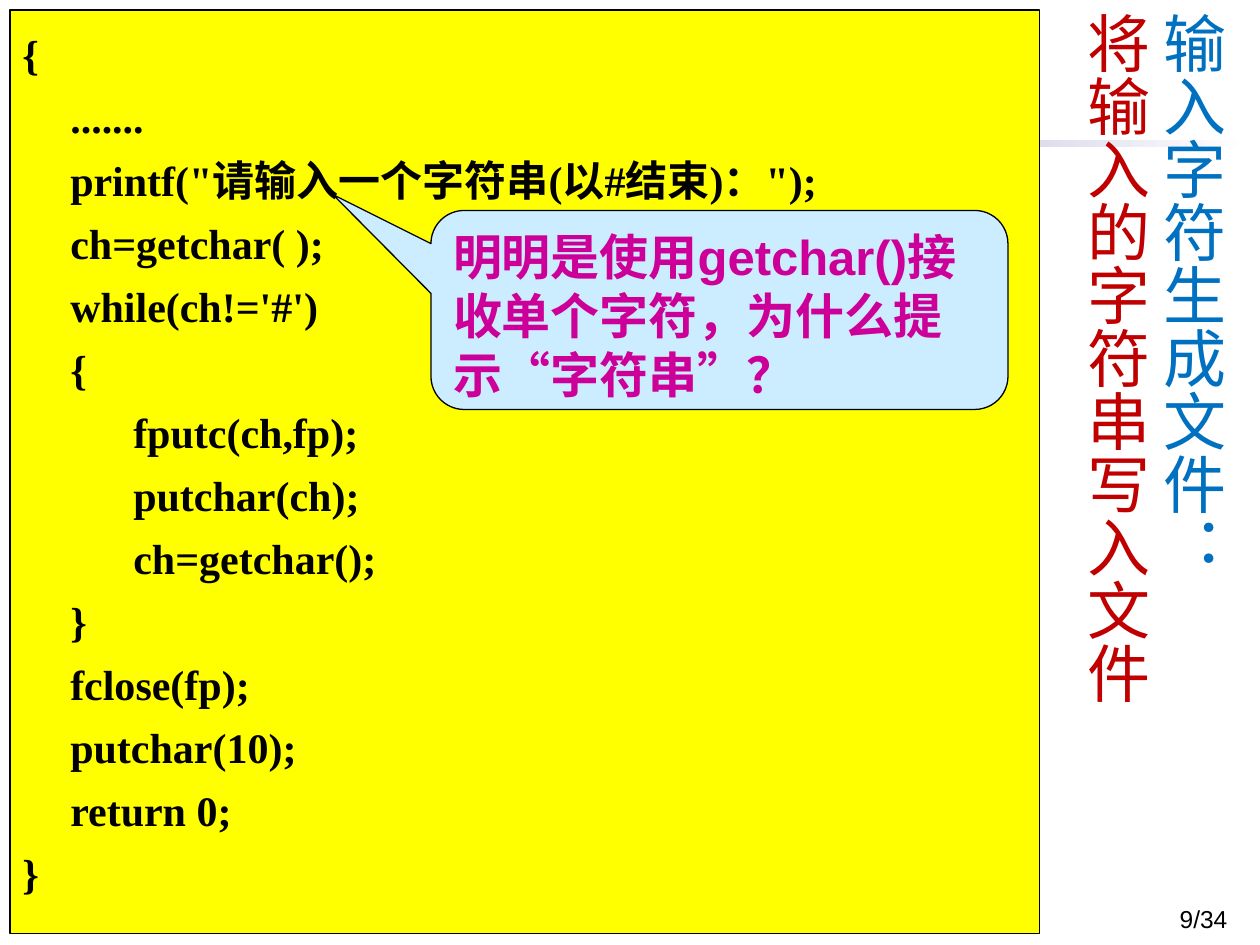
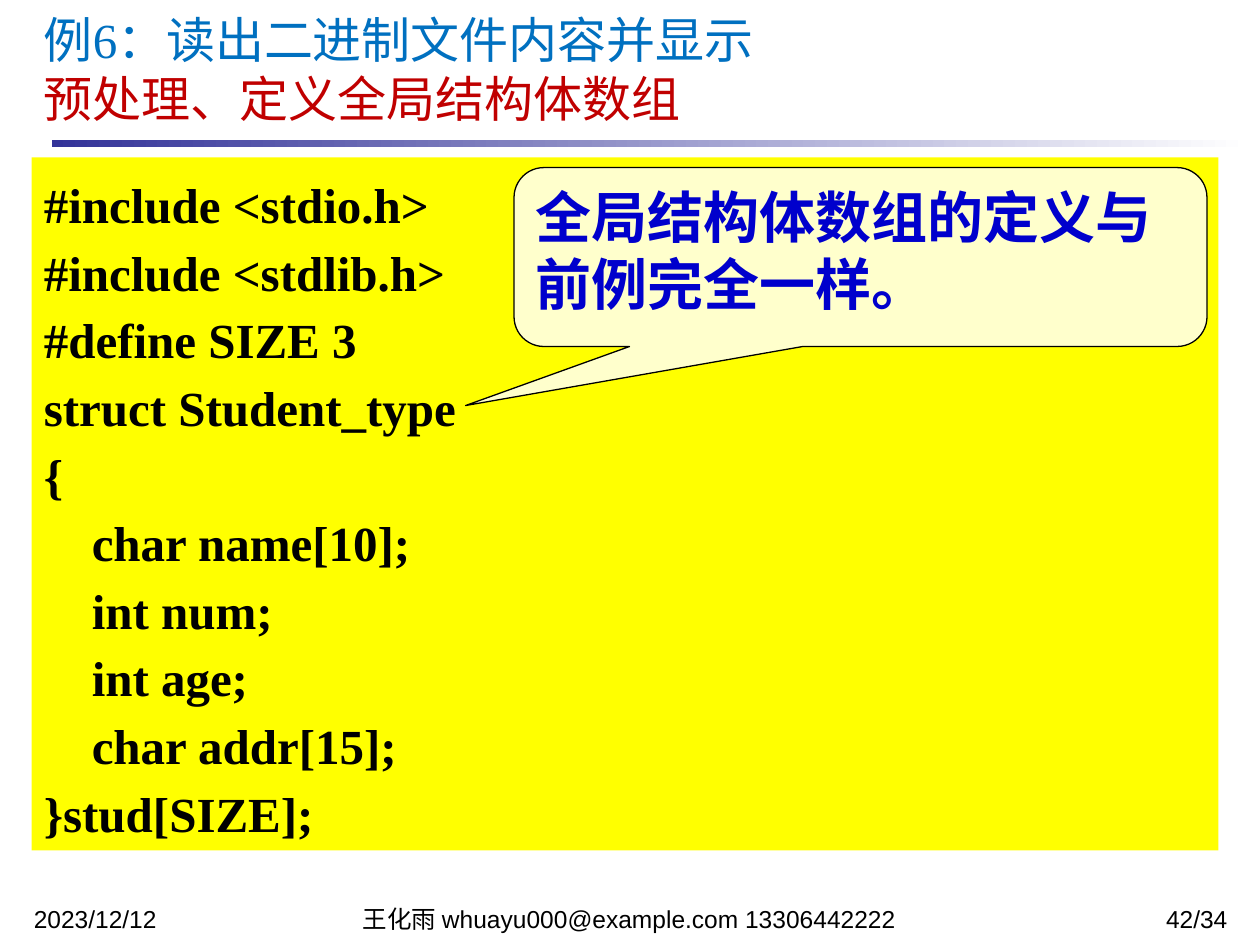
"""Build two slides on reading and writing files in C."""
from pptx import Presentation
from pptx import util as u
from pptx.dml import color as dml
from pptx.enum import shapes, text

SERIF, SANS = "Times New Roman", "Arial"
BLACK, WHITE, BLUE, RED = "000000", "FFFFFF", "0070C0", "C00000"
YELLOW, NAVY = "FFFF00", "333399"
ALIGN = text.PP_ALIGN
KIND = shapes.MSO_SHAPE
MIDDLE = text.MSO_ANCHOR.MIDDLE

WRITE_CODE = """{
\t.......
\tprintf("请输入一个字符串(以#结束)：");
\tch=getchar( );
\twhile(ch!='#')
\t{
\t\tfputc(ch,fp);
\t\tputchar(ch);
\t\tch=getchar();
\t}
\tfclose(fp);
\tputchar(10);
\treturn 0;
}"""

READ_CODE = """#include <stdio.h>
#include <stdlib.h>
#define SIZE 3
struct Student_type
{
\tchar name[10];
\tint num;
\tint age;
\tchar addr[15];
}stud[SIZE];"""


def rgb(code):
    return dml.RGBColor.from_string(code)


def write(shape, words, size, font=SANS, colors=(BLACK,), bold=False,
          align=ALIGN.LEFT, anchor=text.MSO_ANCHOR.TOP, space=1.0, hang=0):
    """Fill a shape with lines of text, cycling through the colours."""
    frame = shape.text_frame
    frame.word_wrap = True
    frame.vertical_anchor = anchor
    for i, line in enumerate(words.split("\n")):
        para = frame.paragraphs[0] if i == 0 else frame.add_paragraph()
        para.alignment = align
        para.line_spacing = space
        if hang:
            props = para._p.get_or_add_pPr()
            props.set("marL", str(u.Inches(hang)))
            props.set("indent", str(u.Inches(-hang)))
        run = para.add_run()
        run.text = line
        run.font.size = u.Pt(size)
        run.font.name = font
        run.font.bold = bold
        run.font.color.rgb = rgb(colors[i % len(colors)])


def add_box(slide, place, fill, line=None, kind=KIND.RECTANGLE):
    """Add a flat filled shape, outlined when a line colour is given."""
    box = slide.shapes.add_shape(kind, *map(u.Inches, place))
    box.shadow.inherit = False
    box.fill.solid()
    box.fill.fore_color.rgb = rgb(fill)
    if line:
        box.line.color.rgb = rgb(line)
        box.line.width = u.Pt(0.75)
    else:
        box.line.fill.background()
    return box


def add_text(slide, place, words, size, **style):
    box = slide.shapes.add_textbox(*map(u.Inches, place))
    write(box, words, size, **style)
    return box


def add_band(slide):
    """Add the rule that fades out under the title."""
    band = add_box(slide, (0.41, 1.11, 9.51, 0.06), NAVY)
    band.fill.gradient()
    band.fill.gradient_angle = 0
    for stop, code in zip(band.fill.gradient_stops, (NAVY, WHITE)):
        stop.color.rgb = rgb(code)


def add_foot(slide, left, width, words, align):
    add_text(slide, (left, 7.17, width, 0.18), words, 14, align=align, space=0.8)


def add_code(slide, place, code, size, line=None, **style):
    panel = add_box(slide, place, YELLOW, line)
    write(panel, code, size, font=SERIF, bold=True, hang=0.38, **style)


def add_note(slide, place, tip, fill, words, size, color):
    """Add a speech bubble whose tail ends at the given offset."""
    note = add_box(slide, place, fill, BLACK, KIND.ROUNDED_RECTANGULAR_CALLOUT)
    for i, value in enumerate((*tip, 0.167)):
        note.adjustments[i] = value
    write(note, words, size, colors=(color,), bold=True)


def new_slide(deck, page):
    slide = deck.slides.add_slide(deck.slide_layouts[6])
    add_band(slide)
    add_foot(slide, 7.92, 1.92, page, ALIGN.RIGHT)
    return slide


def make_write(deck):
    """Show the code that writes typed characters to a file."""
    slide = new_slide(deck, "9/34")
    add_code(slide, (0.08, 0.08, 8.17, 7.33), WRITE_CODE, 24, BLACK,
             space=1.25, anchor=text.MSO_ANCHOR.TOP)
    title = add_text(slide, (8.58, 0, 1.17, 7.25),
                     "输入字符生成文件：\n将输入的字符串写入文件", 36,
                     font=SERIF, colors=(BLUE, RED), anchor=MIDDLE)
    title._element.txBody.bodyPr.set("vert", "eaVert")
    add_note(slide, (3.42, 1.67, 4.58, 1.58), (-0.67, -0.58), "CCECFF",
             "明明是使用getchar()接收单个字符，为什么提示“字符串”？", 28, "CC0099")


def make_read(deck):
    """Show the includes and the global array of structs."""
    slide = new_slide(deck, "42/34")
    add_foot(slide, 0.17, 2.33, "2023/12/12", ALIGN.LEFT)
    add_foot(slide, 2.58, 4.83, "王化雨 whuayu000@example.com 13306442222",
             ALIGN.CENTER)
    title = add_box(slide, (0.25, 0.17, 9.42, 0.75), WHITE)
    write(title, "例6：读出二进制文件内容并显示\n预处理、定义全局结构体数组", 28,
          font=SERIF, colors=(BLUE, RED), anchor=MIDDLE)
    add_code(slide, (0.25, 1.25, 9.42, 5.5), READ_CODE, 28,
             space=1.15, anchor=MIDDLE)
    add_note(slide, (4.08, 1.33, 5.5, 1.42), (-0.57, 0.83), "FFFFCC",
             "全局结构体数组的定义与前例完全一样。", 32, "0000CC")


def main():
    deck = Presentation()
    deck.slide_width, deck.slide_height = u.Inches(10), u.Inches(7.5)
    make_write(deck)
    make_read(deck)
    deck.save("out.pptx")


if __name__ == "__main__":
    main()
